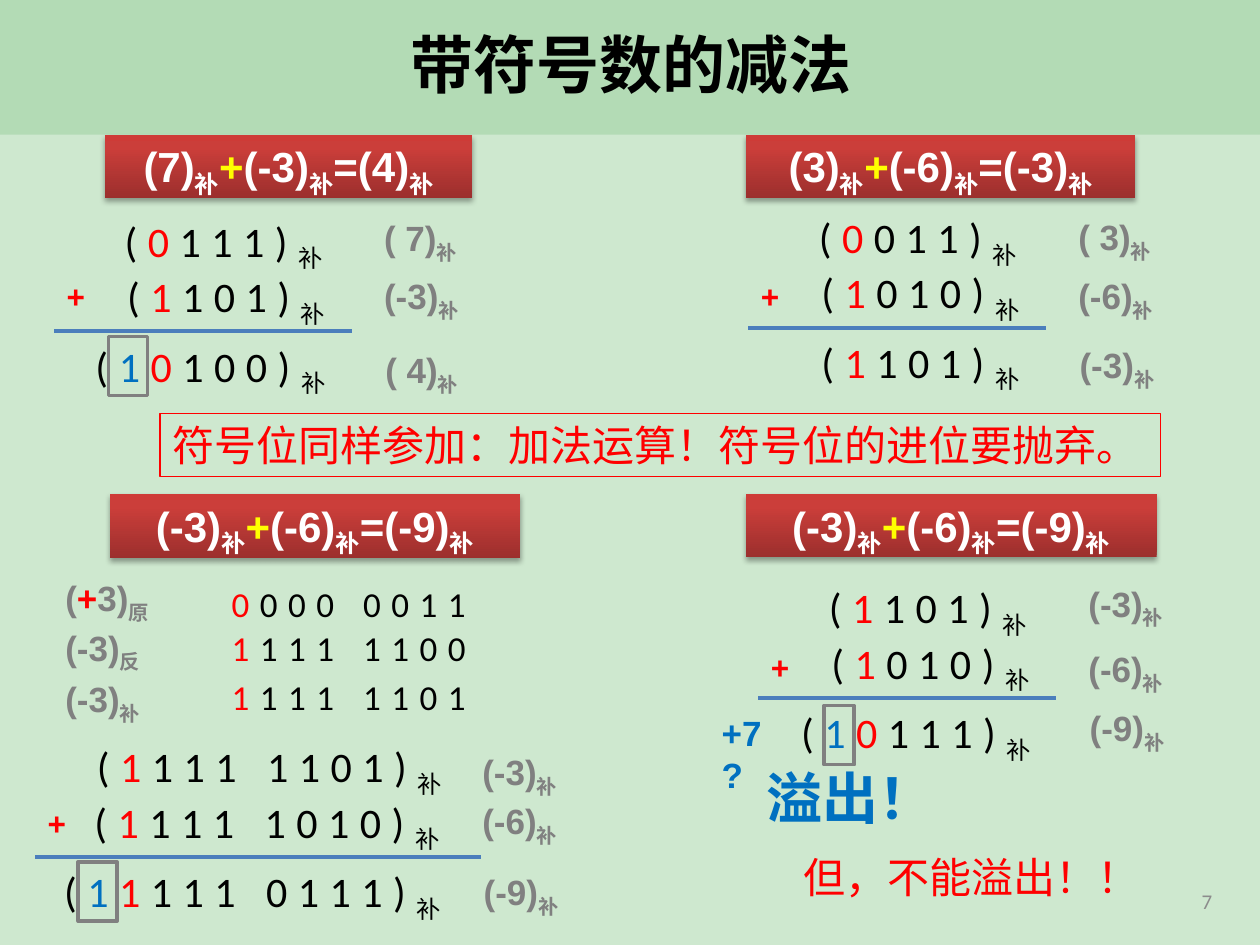
from dataclasses import dataclass
from lxml.etree import SubElement
from pptx import Presentation
from pptx.dml.color import RGBColor
from pptx.enum.shapes import MSO_CONNECTOR, MSO_SHAPE
from pptx.enum.text import MSO_ANCHOR, MSO_AUTO_SIZE, PP_ALIGN
from pptx.oxml import parse_xml
from pptx.oxml.ns import qn
from pptx.util import Pt

PX = 9144
MARKS = ("补", "原", "反")
NS = 'xmlns:a="http://schemas.openxmlformats.org/drawingml/2006/main"'


@dataclass(frozen=True)
class Theme:
    bg: str = "CEE8CF"
    header: str = "B3DBB5"
    black: str = "000000"
    white: str = "FFFFFF"
    red: str = "FF0000"
    blue: str = "0070C0"
    yellow: str = "FFFF00"
    grey: str = "808080"
    number: str = "8C8C8C"
    rule: str = "4B7EBC"
    stops: tuple = ((0, "9C2F2D"), (80, "CB3E3A"), (100, "CE3B37"))
    latin: str = "Arial"
    digits: str = "Calibri"
    cjk: str = "Noto Sans CJK SC"
    title: int = 36
    shout: int = 32
    large: int = 24
    medium: int = 20
    plus: int = 18
    small: int = 12


T = Theme()


def rgb(value):
    return RGBColor.from_string(value)


def px(*values):
    return [v * PX for v in values]


def write(sp, runs, size, font, bold=False, spacing=0, align=PP_ALIGN.LEFT,
          anchor=MSO_ANCHOR.TOP, wrap=False):
    tf = sp.text_frame
    tf.word_wrap = wrap
    tf.auto_size = MSO_AUTO_SIZE.NONE if wrap else MSO_AUTO_SIZE.SHAPE_TO_FIT_TEXT
    tf.vertical_anchor = anchor
    p = tf.paragraphs[0]
    p.alignment = align
    p.font.size, p.font.bold, p.font.name = Pt(size), bold, font
    if spacing:
        p.font._element.set("spc", str(spacing * 100))
    for text, color in runs:
        r = p.add_run()
        r.text = text
        r.font.color.rgb = rgb(color)
        rPr = r._r.get_or_add_rPr()
        if text in MARKS:
            rPr.set("baseline", "-25000")
        SubElement(rPr, qn("a:ea")).set("typeface", T.cjk)


def label(s, box, runs, size, font, **style):
    sp = s.shapes.add_textbox(*px(*box))
    write(sp, runs, size, font, **style)
    return sp


def rect(s, box):
    sp = s.shapes.add_shape(MSO_SHAPE.RECTANGLE, *px(*box))
    sp.shadow.inherit = False
    sp.line.fill.background()
    return sp


def header(s, box, text):
    x, y, w, h = box
    sp = rect(s, box)
    sp.fill.solid()
    sp.fill.fore_color.rgb = rgb(T.header)
    s.shapes._spTree.insert(2, sp._element)
    title = s.shapes.title
    title.left, title.top, title.width, title.height = px(x + 51, y + 22, 900, 56)
    write(title, [(text, T.black)], T.title, T.cjk, bold=True,
          align=PP_ALIGN.CENTER, anchor=MSO_ANCHOR.MIDDLE, wrap=True)


def banner(s, box, first, second, result):
    sp = rect(s, box)
    spPr = sp._element.spPr
    stops = "".join(f'<a:gs pos="{pos * 1000}"><a:srgbClr val="{color}"/></a:gs>'
                    for pos, color in T.stops)
    spPr.insert(2, parse_xml(f'<a:gradFill {NS} rotWithShape="1"><a:gsLst>{stops}</a:gsLst>'
                             '<a:lin ang="16200000" scaled="0"/></a:gradFill>'))
    spPr.find(qn("a:effectLst")).append(parse_xml(
        f'<a:outerShdw {NS} blurRad="{Pt(3.1)}" dist="{Pt(1.8)}" dir="5400000" rotWithShape="0">'
        f'<a:srgbClr val="{T.black}"><a:alpha val="35000"/></a:srgbClr></a:outerShdw>'))
    mark = ("补", T.white)
    runs = [(f"({first})", T.white), mark, ("+", T.yellow), (f"({second})", T.white), mark,
            (f"=({result})", T.white), mark]
    write(sp, runs, T.large, T.latin, bold=True, align=PP_ALIGN.CENTER)


def tag(s, x, y, runs, mark="补"):
    label(s, (x, y, 96, 44), [*runs, (mark, T.grey)], T.medium, T.latin, bold=True)


def addition(s, box, rows, tags, row_dx, row_w, tag_dx, tag_dy, plus, carry=None):
    x, y, w = box
    for (over, sign, rest), dx, dy in zip(rows, row_dx, (-97, -53, 2)):
        extra = [(over, T.blue)] if over else []
        runs = [("(", T.black), *extra, (sign, T.red), (rest + ")", T.black), ("补", T.black)]
        label(s, (x + dx, y + dy, row_w + 26 * len(over), 50), runs,
              T.large, T.digits, spacing=6)
    for text, dx, dy in zip(tags, (0, 0, 1), tag_dy):
        tag(s, x + tag_dx + dx, y + dy, [(text, T.grey)])
    label(s, (x, y + plus, 40, 57), [("+", T.red)], T.plus, T.latin, bold=True)
    line = s.shapes.add_connector(MSO_CONNECTOR.STRAIGHT, *px(x, y, x + w, y))
    line.line.color.rgb = rgb(T.rule)
    line.line.width = Pt(2.25)
    SubElement(line._element.spPr, qn("a:effectLst"))
    if carry:
        dx, dy, cw = carry
        frame = rect(s, (x + dx, y + dy, cw, 47))
        frame.fill.background()
        frame.line.color.rgb = rgb(T.grey)
        frame.line.width = Pt(2)


def conversions(s, box, lines):
    x, y = box
    for dy, digit_dy, runs, mark, sign, rest in lines:
        tag(s, x, y + dy, runs, mark)
        label(s, (x + 132, y + digit_dy, 227, 44), [(sign, T.red), (rest, T.black)],
              T.medium, T.digits, spacing=6)


def rule_note(s, box, text):
    sp = label(s, box, [(text, T.red)], T.large, T.cjk)
    sp.line.color.rgb = rgb(T.red)
    sp.line.width = Pt(0.75)


def overflow(s, box):
    x, y = box
    label(s, (x, y, 63, 44), [("+7?", T.blue)], T.medium, T.latin, bold=True, wrap=True)
    label(s, (x + 34, y + 41, 155, 64), [("溢出！", T.blue)], T.shout, T.cjk,
          bold=True, align=PP_ALIGN.RIGHT)
    label(s, (x + 65, y + 111, 289, 51), [("但，不能溢出！！", T.red)], T.large, T.cjk)


def main():
    prs = Presentation()
    prs.slide_width, prs.slide_height = px(1000, 750)
    s = prs.slides.add_slide(prs.slide_layouts[5])
    s.background.fill.solid()
    s.background.fill.fore_color.rgb = rgb(T.bg)
    header(s, (0, 0, 1000, 107), "带符号数的减法")

    narrow = dict(row_w=198, tag_dx=252)
    banner(s, (83, 107, 292, 50), "7", "-3", "4")
    addition(s, (43, 263, 236), [("", "0", "111"), ("", "1", "101"), ("1", "0", "100")],
             ["( 7)", "(-3)", "( 4)"], (46, 48, 23), tag_dy=(-96, -50, 9), plus=-48,
             carry=(43, 4, 31), **narrow)
    banner(s, (592, 107, 309, 50), "3", "-6", "-3")
    addition(s, (594, 260, 236), [("", "0", "011"), ("", "1", "010"), ("", "1", "101")],
             ["( 3)", "(-6)", "(-3)"], (46, 48, 48), tag_dy=(-94, -47, 8), plus=-45, **narrow)

    rule_note(s, (127, 328, 794, 50), "符号位同样参加：加法运算！符号位的进位要抛弃。")

    banner(s, (592, 392, 326, 50), "-3", "-6", "-9")
    addition(s, (602, 554, 236), [("", "1", "101"), ("", "1", "010"), ("1", "0", "111")],
             ["(-3)", "(-6)", "(-9)"], (46, 48, 24), tag_dy=(-97, -45, 2), plus=-45,
             carry=(52, 6, 24), **narrow)
    overflow(s, (563, 560))

    banner(s, (87, 392, 326, 51), "-3", "-6", "-9")
    negative = [("(-3)", T.grey)]
    conversions(s, (42, 453), [
        (0, 4, [("(", T.grey), ("+", T.red), ("3)", T.grey)], "原", "0", "000 0011"),
        (39, 39, negative, "反", "1", "111 1100"),
        (80, 78, negative, "补", "1", "111 1101")])
    addition(s, (28, 680, 354),
             [("", "1", "111 1101"), ("", "1", "111 1010"), ("1", "1", "111 0111")],
             ["(-3)", "(-6)", "(-9)"], (39, 37, 13), row_w=325, tag_dx=345,
             tag_dy=(-89, -50, 6), plus=-47, carry=(34, 4, 31))

    label(s, (739, 695, 233, 40), [("7", T.number)], T.small, T.digits,
          align=PP_ALIGN.RIGHT, anchor=MSO_ANCHOR.MIDDLE, wrap=True)
    prs.save("out.pptx")


if __name__ == "__main__":
    main()
